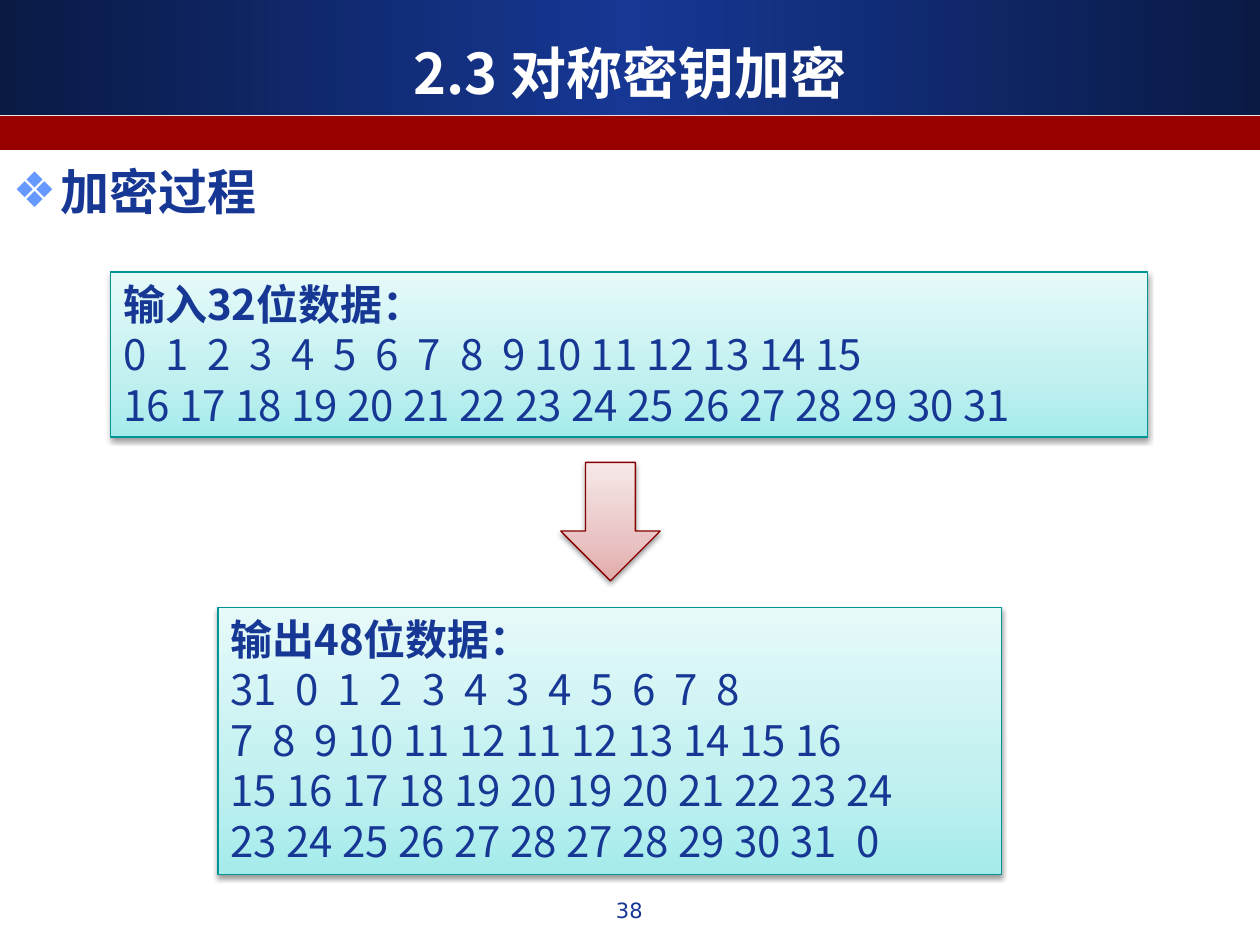
from lxml import etree
from pptx import Presentation, util as u
from pptx.dml.color import RGBColor
from pptx.enum import shapes, text
from pptx.oxml import parse_xml
from pptx.oxml.ns import nsdecls, qn

WIDTH, HEIGHT = 10, 7.5
CJK, SANS = "Noto Sans CJK SC", "DejaVu Sans"
NAVY, WHITE, RED = "163794", "FFFFFF", "990000"
TEAL_STOPS = [(0, "A5EBEB"), (35, "C1F0F0"), (100, "E7FAFA")]
ROSE_STOPS = [(0, "E2AAAA"), (35, "EAC4C4"), (100, "F7E8E8")]
BANNER_STOPS = [(0, "0A1A45"), (50, NAVY), (100, "0A1A45")]

TITLE = "2.3 对称密钥加密"
HEADING = "加密过程"
PAGE = "38"
BLOCKS = [
    {"heading": "输入32位数据：", "box": (0.88, 2.16, 8.23, 1.31),
     "rows": [range(16), range(16, 32)]},
    {"heading": "输出48位数据：", "box": (1.73, 4.82, 6.22, 2.12),
     "rows": [[(12 * row // 6 * 4 + 4 * half + step - 1) % 32
               for half in range(2) for step in range(6)]
              for row in range(4)]},
]


def rgb(value):
    return RGBColor.from_string(value)


def inches(box):
    return [u.Inches(length) for length in box]


def write(frame, content, new=False, size=24, font=CJK, color=NAVY, bold=False,
          align=text.PP_ALIGN.LEFT):
    paragraph = frame.add_paragraph() if new else frame.paragraphs[0]
    paragraph.alignment = align
    paragraph.space_before = u.Pt(0)
    paragraph.line_spacing = u.Pt(size * 1.2)
    run = paragraph.add_run()
    run.text = content
    run.font.size = u.Pt(size)
    run.font.bold = bold
    run.font.color.rgb = rgb(color)
    run.font.name = font
    latin = run.font._element.find(qn("a:latin"))
    latin.addnext(parse_xml(f'<a:ea {nsdecls("a")} typeface="{font}"/>'))
    return paragraph


def prepare(frame, anchor=text.MSO_ANCHOR.TOP):
    frame.word_wrap = True
    frame.auto_size = text.MSO_AUTO_SIZE.NONE
    frame.vertical_anchor = anchor
    return frame


def place(shape, box):
    shape.left, shape.top, shape.width, shape.height = inches(box)


def add_shape(slide, kind, box, fill=None, stops=None, angle=0, line=None):
    shape = slide.shapes.add_shape(kind, *inches(box))
    shape.shadow.inherit = False
    if stops:
        marks = "".join(
            f'<a:gs pos="{position * 1000}"><a:srgbClr val="{color}"/></a:gs>'
            for position, color in stops)
        shape._element.spPr.find(qn("a:prstGeom")).addnext(parse_xml(
            f'<a:gradFill {nsdecls("a")} rotWithShape="1"><a:gsLst>{marks}</a:gsLst>'
            f'<a:lin ang="{angle * 60000}" scaled="0"/></a:gradFill>'))
    else:
        shape.fill.solid()
        shape.fill.fore_color.rgb = rgb(fill)
    if line:
        shape.line.color.rgb = rgb(line)
        shape.line.width = u.Pt(0.75)
    else:
        shape.line.fill.background()
    return shape


def add_raised(slide, kind, box, stops, line):
    shape = add_shape(slide, kind, box, stops=stops, angle=270, line=line)
    effects = shape._element.spPr.find(qn("a:effectLst"))
    shadow = etree.SubElement(
        effects, qn("a:outerShdw"), blurRad=str(u.Pt(3.1)), dist=str(u.Pt(1.6)),
        dir="5400000", rotWithShape="0")
    color = etree.SubElement(shadow, qn("a:srgbClr"), val="000000")
    etree.SubElement(color, qn("a:alpha"), val="38000")
    return shape


def add_bullet(paragraph, symbol, color, indent):
    properties = paragraph._p.get_or_add_pPr()
    properties.set("marL", str(u.Inches(indent)))
    properties.set("indent", str(-u.Inches(indent)))
    bullet_color = etree.SubElement(properties, qn("a:buClr"))
    etree.SubElement(bullet_color, qn("a:srgbClr"), val=color)
    etree.SubElement(properties, qn("a:buFont"), typeface=SANS)
    etree.SubElement(properties, qn("a:buChar"), char=symbol)


def main():
    presentation = Presentation()
    presentation.slide_width = u.Inches(WIDTH)
    presentation.slide_height = u.Inches(HEIGHT)
    slide = presentation.slides.add_slide(presentation.slide_layouts[1])
    title, body = slide.shapes.title, slide.placeholders[1]
    rectangle = shapes.MSO_SHAPE.RECTANGLE

    for band in (
        add_shape(slide, rectangle, (0, 0, WIDTH, 0.91), stops=BANNER_STOPS),
        add_shape(slide, rectangle, (0, 0.92, WIDTH, 0.27), fill=RED),
    ):
        title.element.addprevious(band.element)

    place(title, (0, 0.29, WIDTH, 0.56))
    write(prepare(title.text_frame, text.MSO_ANCHOR.MIDDLE), TITLE, size=32,
          color=WHITE, bold=True, align=text.PP_ALIGN.CENTER)

    place(body, (0, 1.23, 5.04, 0.56))
    heading = write(prepare(body.text_frame), HEADING, size=28, bold=True)
    add_bullet(heading, "❖", "6699FF", 0.38)

    for block in BLOCKS:
        shape = add_raised(slide, rectangle, block["box"], TEAL_STOPS, "009696")
        frame = prepare(shape.text_frame)
        write(frame, block["heading"], bold=True)
        for row in block["rows"]:
            numbers = " ".join(f"{number:2d}" for number in row)
            write(frame, numbers.strip(), new=True)

    add_raised(slide, shapes.MSO_SHAPE.DOWN_ARROW, (4.45, 3.67, 0.79, 0.94),
               ROSE_STOPS, "870000")

    page = slide.shapes.add_textbox(*inches((3.83, 7.07, 2.33, 0.35)))
    write(prepare(page.text_frame), PAGE, size=12, font=SANS,
          align=text.PP_ALIGN.CENTER)
    presentation.save("out.pptx")


if __name__ == "__main__":
    main()
